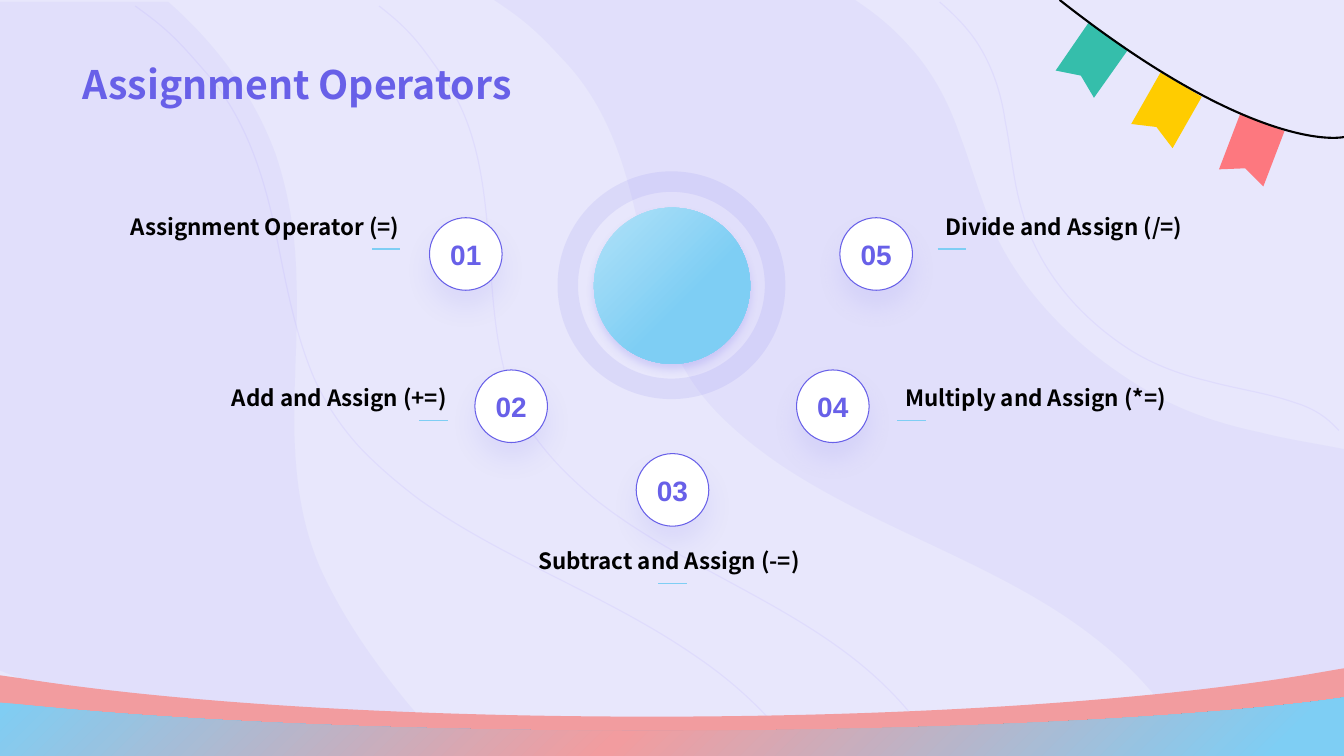
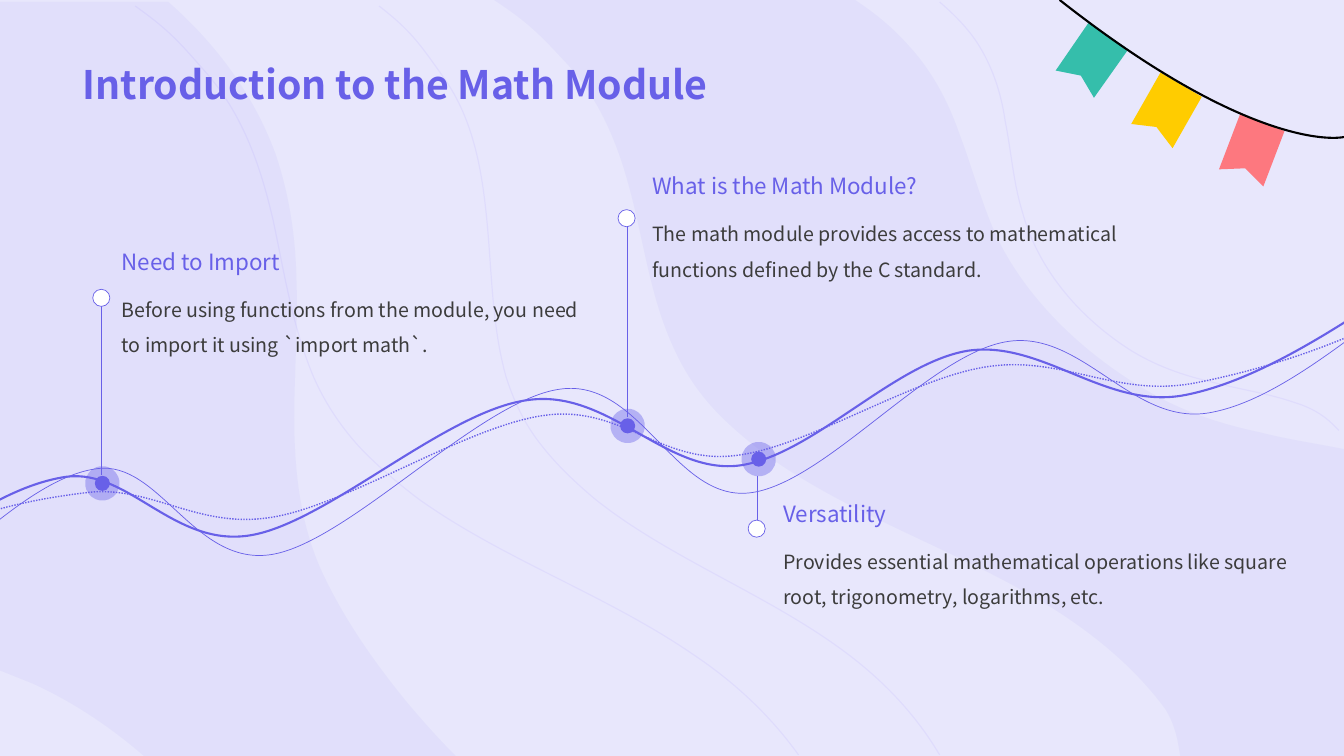
from lxml import etree
from pptx import Presentation
from pptx.dml.color import RGBColor
from pptx.enum.dml import MSO_LINE
from pptx.enum.shapes import MSO_CONNECTOR, MSO_SHAPE
from pptx.enum.text import MSO_ANCHOR, PP_ALIGN
from pptx.oxml.ns import qn
from pptx.util import Inches, Pt

LEFT, CENTER, RIGHT = PP_ALIGN.LEFT, PP_ALIGN.CENTER, PP_ALIGN.RIGHT
MIDDLE, BOTTOM = MSO_ANCHOR.MIDDLE, MSO_ANCHOR.BOTTOM
OVAL, DONUT = MSO_SHAPE.OVAL, MSO_SHAPE.DONUT
STRAIGHT = MSO_CONNECTOR.STRAIGHT
DOTTED = MSO_LINE.ROUND_DOT

COLORS = {
    "background": "E8E7FC", "primary": "6860E8", "swirl": "6353EF",
    "thread": "593CFC", "sky": "7ECEF4", "pale_sky": "B2E2F8",
    "rose": "F29C9F", "coral": "FD787F", "yellow": "FFCC00",
    "green": "35BEAB", "black": "000000", "white": "FFFFFF", "ink": "3C3C3C",
}
TEXT_FONT, NUMBER_FONT = "Noto Sans CJK SC", "Arial"

# Outlines: a start point, then (x, y) for a line or six numbers for a cubic curve
SWIRLS = [
    [(8.48, 0), (4.9, 0), (5.25, 0.23, 5.36, 0.35, 5.63, 0.64),
     (5.99, 1.04, 6.16, 1.52, 6.28, 2.01), (6.4, 2.5, 6.47, 3, 6.69, 3.47),
     (6.8, 3.71, 6.95, 3.93, 7.14, 4.12), (7.32, 4.3, 7.52, 4.46, 7.74, 4.61),
     (8.59, 5.18, 9.62, 5.51, 10.48, 6.06), (10.9, 6.33, 11.26, 6.64, 11.54, 7.01),
     (11.6, 7.09, 11.65, 7.21, 11.68, 7.35), (11.71, 7.52), (13.35, 7.52),
     (13.35, 4.46), (13.06, 4.4, 12.77, 4.36, 12.5, 4.29),
     (12.12, 4.21, 11.75, 4.09, 11.42, 3.9), (10.77, 3.53, 10.21, 3, 9.9, 2.38),
     (9.74, 2.04, 9.65, 1.68, 9.52, 1.34), (9.41, 1.02, 9.25, 0.71, 9.01, 0.45),
     (8.86, 0.28, 8.68, 0.13, 8.48, 0)],
    [(1.67, 0.02), (-0.03, 0.02), (-0.03, 6.64), (0.02, 6.66),
     (0.12, 6.7, 0.22, 6.74, 0.32, 6.78), (0.74, 6.97, 1.12, 7.23, 1.45, 7.52),
     (4.55, 7.52), (4.52, 7.5), (4.35, 7.33, 4.19, 7.15, 4.03, 6.96),
     (3.72, 6.58, 3.44, 6.18, 3.23, 5.75), (3, 5.29, 2.93, 4.78, 2.92, 4.28),
     (2.91, 3.78, 2.96, 3.27, 2.94, 2.76), (2.93, 2.34, 2.87, 1.93, 2.73, 1.52),
     (2.52, 0.95, 2.15, 0.44, 1.67, 0.02)],
]
THREADS = [
    [(7.92, 7.49), (7.64, 7.1, 7.29, 6.77, 6.87, 6.49),
     (6.01, 5.9, 4.99, 5.55, 4.15, 4.95), (3.94, 4.79, 3.74, 4.62, 3.56, 4.43),
     (3.37, 4.22, 3.22, 3.99, 3.11, 3.74), (2.9, 3.24, 2.82, 2.71, 2.71, 2.19),
     (2.59, 1.67, 2.42, 1.16, 2.06, 0.74), (1.79, 0.43, 1.68, 0.3, 1.34, 0.06)],
    [(9.32, 0.02), (9.46, 0.14, 9.59, 0.27, 9.69, 0.42),
     (9.84, 0.65, 9.93, 0.92, 9.97, 1.2), (10.03, 1.5, 10.05, 1.81, 10.14, 2.1),
     (10.29, 2.65, 10.67, 3.11, 11.16, 3.44), (11.4, 3.6, 11.68, 3.71, 11.98, 3.78),
     (12.27, 3.86, 12.58, 3.9, 12.86, 4), (12.99, 4.04, 13.12, 4.11, 13.22, 4.21),
     (13.28, 4.27)],
    [(9.32, 7.49), (9.09, 7.1, 8.78, 6.77, 8.41, 6.49),
     (7.63, 5.9, 6.65, 5.55, 5.9, 4.95), (5.71, 4.79, 5.53, 4.62, 5.38, 4.43),
     (5.21, 4.22, 5.1, 3.99, 5.02, 3.74), (4.88, 3.24, 4.88, 2.71, 4.83, 2.19),
     (4.78, 1.67, 4.69, 1.16, 4.38, 0.74), (4.16, 0.43, 4.07, 0.3, 3.76, 0.06)],
]
FLAGS = [
    ("coral", [(12.74, 1.3), (12.53, 1.85), (12.35, 1.67), (12.09, 1.68), (12.3, 1.13)]),
    ("yellow", [(11.92, 0.96), (11.63, 1.47), (11.47, 1.26), (11.22, 1.23), (11.51, 0.72)]),
    ("green", [(11.19, 0.49), (10.85, 0.97), (10.72, 0.75), (10.47, 0.7), (10.8, 0.22)]),
]
STRING = [(13.33, 1.36), (13.11, 1.4, 12.21, 1.34, 10.51, 0)]
ROSE_BAND = [(13.33, 6.63), (13.33, 7.5), (0, 7.5), (0, 6.7), (0.21, 6.73),
             (1.73, 6.97, 3.97, 7.11, 6.47, 7.11), (9.15, 7.11, 11.53, 6.94, 13.04, 6.68)]
SKY_BAND = [(13.33, 6.92), (13.33, 7.5), (0, 7.5), (0, 6.97), (0.21, 6.99),
            (1.73, 7.15, 3.97, 7.25, 6.47, 7.25), (9.15, 7.25, 11.53, 7.14, 13.04, 6.96)]
WAVES = [  # line width, dash, outline
    (1.5, None, [
        (-1.24, 5.81), (-0.6, 5.31, 0.04, 4.82, 0.66, 4.73),
        (1.28, 4.65, 1.73, 5.44, 2.49, 5.31), (3.25, 5.18, 4.42, 4.08, 5.23, 3.97),
        (6.03, 3.85, 6.59, 4.7, 7.32, 4.62), (8.05, 4.53, 8.86, 3.6, 9.6, 3.48),
        (10.34, 3.37, 10.97, 4.07, 11.75, 3.92), (12.53, 3.77, 13.4, 3.17, 14.28, 2.57)]),
    (1, DOTTED, [
        (-1.25, 5.65), (-0.61, 5.15, 0.18, 4.97, 0.84, 4.89),
        (1.5, 4.8, 1.95, 5.26, 2.71, 5.13), (3.47, 5, 4.64, 4.22, 5.41, 4.12),
        (6.17, 4.02, 6.56, 4.61, 7.29, 4.52), (8.01, 4.44, 9.02, 3.76, 9.78, 3.64),
        (10.54, 3.52, 11.07, 3.95, 11.85, 3.8), (12.63, 3.65, 13.65, 3.32, 14.52, 2.72)]),
    (0.5, None, [
        (-1.03, 6.01), (-0.39, 5.51, 0.34, 4.73, 0.96, 4.65),
        (1.58, 4.56, 1.93, 5.63, 2.7, 5.5), (3.47, 5.37, 4.77, 3.96, 5.56, 3.86),
        (6.35, 3.75, 6.69, 4.97, 7.43, 4.89), (8.17, 4.81, 9.21, 3.52, 9.98, 3.39),
        (10.74, 3.26, 11.24, 4.25, 12.02, 4.09), (12.8, 3.94, 13.68, 3.08, 14.56, 2.49)]),
]
OPERATORS = [  # number, badge left and top, label, box left, top and width, alignment
    ("01", 4.26, 2.16, "Assignment Operator (=)", 1, 1.93, 3.06, RIGHT),
    ("02", 4.71, 3.67, "Add and Assign (+=)", 1.47, 3.63, 3.06, RIGHT),
    ("03", 6.31, 4.5, "Subtract and Assign (-=)", 4.94, 5.25, 3.39, CENTER),
    ("04", 7.9, 3.67, "Multiply and Assign (*=)", 8.88, 3.63, 3.06, LEFT),
    ("05", 8.33, 2.16, "Divide and Assign (/=)", 9.28, 1.93, 3.06, LEFT),
]
DASH_OFFSETS = {LEFT: 0.02, CENTER: 1.59, RIGHT: 2.69}
MILESTONES = [  # marker centre, stem x, stem start, ring y, text left, top, width, texts
    (1.01, 4.79, 1.01, 4.71, 2.96, 1.11, 2.41, 4.96, "Need to Import",
     "Before using functions from the module, you need to import it using `import math`."),
    (6.22, 4.22, 6.22, 4.14, 2.17, 6.37, 1.66, 4.91, "What is the Math Module?",
     "The math module provides access to mathematical functions defined by the C standard."),
    (7.52, 4.55, 7.51, 4.72, 5.25, 7.67, 4.91, 5.24, "Versatility",
     "Provides essential mathematical operations like square root, trigonometry, "
     "logarithms, etc."),
]


def color(name):
    return RGBColor.from_string(COLORS[name])


def set_alpha(shape, percent, part="a:solidFill"):
    for node in shape.element.spPr.xpath(f"{part}/a:srgbClr"):
        etree.SubElement(node, qn("a:alpha"), val=str(percent * 1000))


def paint(shape, fill=None, line=None, width=1.0):
    shape.shadow.inherit = False
    if fill:
        shape.fill.solid()
        shape.fill.fore_color.rgb = color(fill)
    else:
        shape.fill.background()
    if line:
        shape.line.color.rgb = color(line)
        shape.line.width = Pt(width)
    else:
        shape.line.fill.background()
    return shape


def add_glow(shape, alpha, blur, distance):
    effects = shape.element.spPr.find(qn("a:effectLst"))
    shadow = etree.SubElement(effects, qn("a:outerShdw"), blurRad=str(Pt(blur)),
                              dist=str(Pt(distance)), dir="5400000", algn="t", rotWithShape="0")
    tint = etree.SubElement(shadow, qn("a:srgbClr"), val=COLORS["primary"])
    etree.SubElement(tint, qn("a:alpha"), val=str(alpha * 1000))


def add_gradient(shape, stops):
    shape.fill.gradient()
    shape.fill.gradient_angle = 315
    stop_list = shape.element.spPr.find(qn("a:gradFill")).find(qn("a:gsLst"))
    for old_stop in list(stop_list):
        stop_list.remove(old_stop)
    for position, name in stops:
        stop = etree.SubElement(stop_list, qn("a:gs"), pos=str(position * 1000))
        etree.SubElement(stop, qn("a:srgbClr"), val=COLORS[name])


def bend(shape, outline):
    """Join the three line steps of each cubic segment into one curve."""
    steps = iter(shape.element.spPr.xpath("a:custGeom/a:pathLst/a:path/a:lnTo"))
    for segment in outline[1:]:
        parts = [next(steps) for _ in range(len(segment) // 2)]
        if len(parts) == 3:
            curve = etree.Element(qn("a:cubicBezTo"))
            parts[0].addprevious(curve)
            for part in parts:
                curve.append(part[0])
                part.getparent().remove(part)


def add_outline(slide, outline, fill=None, line=None, width=1.0):
    points = [(Inches(segment[i]), Inches(segment[i + 1]))
              for segment in outline for i in range(0, len(segment), 2)]
    builder = slide.shapes.build_freeform(*points[0], scale=1.0)
    builder.add_line_segments(points[1:], close=fill is not None)
    shape = builder.convert_to_shape()
    bend(shape, outline)
    return paint(shape, fill, line, width)


def add_circle(slide, x, y, size, fill, line=None, width=1.0, preset=OVAL):
    box = slide.shapes.add_shape(preset, Inches(x), Inches(y), Inches(size), Inches(size))
    return paint(box, fill, line, width)


def add_line(slide, x1, y1, x2, y2, name, width):
    line = slide.shapes.add_connector(STRAIGHT, Inches(x1), Inches(y1), Inches(x2), Inches(y2))
    line.line.color.rgb = color(name)
    line.line.width = Pt(width)
    etree.SubElement(line.element.spPr, qn("a:effectLst"))


def write(frame, text, size, name, bold=False, align=LEFT, spacing=1.0, font=TEXT_FONT):
    frame.word_wrap = True
    para = frame.paragraphs[0]
    para.text = text
    para.alignment = align
    para.line_spacing = spacing
    para.font.name, para.font.size, para.font.bold = font, Pt(size), bold
    para.font.color.rgb = color(name)


def add_text(slide, x, y, width, height, *args, **options):
    box = slide.shapes.add_textbox(Inches(x), Inches(y), Inches(width), Inches(height))
    write(box.text_frame, *args, **options)


def decorate_layout(layout, slide):
    """Draw the shared background and move it into the layout."""
    layout.background.fill.solid()
    layout.background.fill.fore_color.rgb = color("background")
    title = layout.placeholders[0]
    title.left, title.top, title.width, title.height = map(Inches, (0.72, 0, 11.88, 1.12))
    title.text_frame.vertical_anchor = BOTTOM
    parts = []
    for outline in SWIRLS:
        parts.append(add_outline(slide, outline, fill="swirl"))
        set_alpha(parts[-1], 5)
    for outline in THREADS:
        parts.append(add_outline(slide, outline, line="thread", width=0.85))
        set_alpha(parts[-1], 5, "a:ln/a:solidFill")
    parts += [add_outline(slide, outline, fill=name) for name, outline in FLAGS]
    parts.append(add_outline(slide, STRING, line="black", width=1.5))
    for number, part in enumerate(parts, 100):
        part.element.xpath("p:nvSpPr/p:cNvPr")[0].set("id", str(number))
        layout.shapes.element.append(part.element)


def add_page(deck, layout, title):
    slide = deck.slides.add_slide(layout)
    write(slide.shapes.title.text_frame, title, 28, "primary", bold=True, spacing=0.9)
    return slide


def add_operator(slide, number, badge_x, badge_y, label, x, y, width, align):
    add_text(slide, x, y, width, 0.46, label, 16, "black", bold=True, align=align, spacing=1.5)
    dash_x, dash_y = x + DASH_OFFSETS[align], y + 0.54
    add_line(slide, dash_x, dash_y, dash_x + 0.28, dash_y, "sky", 1)
    badge = add_circle(slide, badge_x, badge_y, 0.72, "white", "primary", 0.75)
    add_glow(badge, 10, 18, 12)
    badge.text_frame.vertical_anchor = MIDDLE
    write(badge.text_frame, number, 20, "primary", bold=True, align=CENTER, font=NUMBER_FONT)


def fill_operators(slide):
    # Bottom bands
    add_outline(slide, ROSE_BAND, fill="rose")
    band = add_outline(slide, SKY_BAND, fill="sky")
    add_gradient(band, [(0, "sky"), (47, "rose"), (95, "sky")])
    # Hub
    ring = add_circle(slide, 5.53, 1.7, 2.26, "primary", preset=DONUT)
    ring.adjustments[0] = 0.09
    set_alpha(ring, 10)
    hub = add_circle(slide, 5.89, 2.06, 1.55, "sky")
    add_gradient(hub, [(0, "pale_sky"), (60, "sky")])
    add_glow(hub, 20, 6, 4)
    for operator in OPERATORS:
        add_operator(slide, *operator)


def add_milestone(slide, marker_x, marker_y, stem_x, stem_y, ring_y, x, y, width, heading, body):
    marker = add_circle(slide, marker_x - 0.07, marker_y - 0.07, 0.15, "primary", "primary", 14)
    set_alpha(marker, 40, "a:ln/a:solidFill")
    add_line(slide, stem_x, stem_y, stem_x, ring_y, "primary", 0.5)
    add_circle(slide, stem_x - 0.09, ring_y - 0.09, 0.17, "white", "primary", 0.5)
    add_text(slide, x, y, width, 0.37, heading, 16, "primary")
    add_text(slide, x, y + 0.38, width, 0.8, body, 14, "ink", spacing=1.5)


def fill_timeline(slide):
    for width, dash, outline in WAVES:
        wave = add_outline(slide, outline, line="primary", width=width)
        if dash:
            wave.line.dash_style = dash
    for milestone in MILESTONES:
        add_milestone(slide, *milestone)


def main():
    deck = Presentation()
    deck.slide_width, deck.slide_height = Inches(13.33), Inches(7.5)
    layout = deck.slide_layouts[5]
    operators = add_page(deck, layout, "Assignment Operators")
    decorate_layout(layout, operators)
    fill_operators(operators)
    fill_timeline(add_page(deck, layout, "Introduction to the Math Module"))
    deck.save("out.pptx")


if __name__ == "__main__":
    main()
